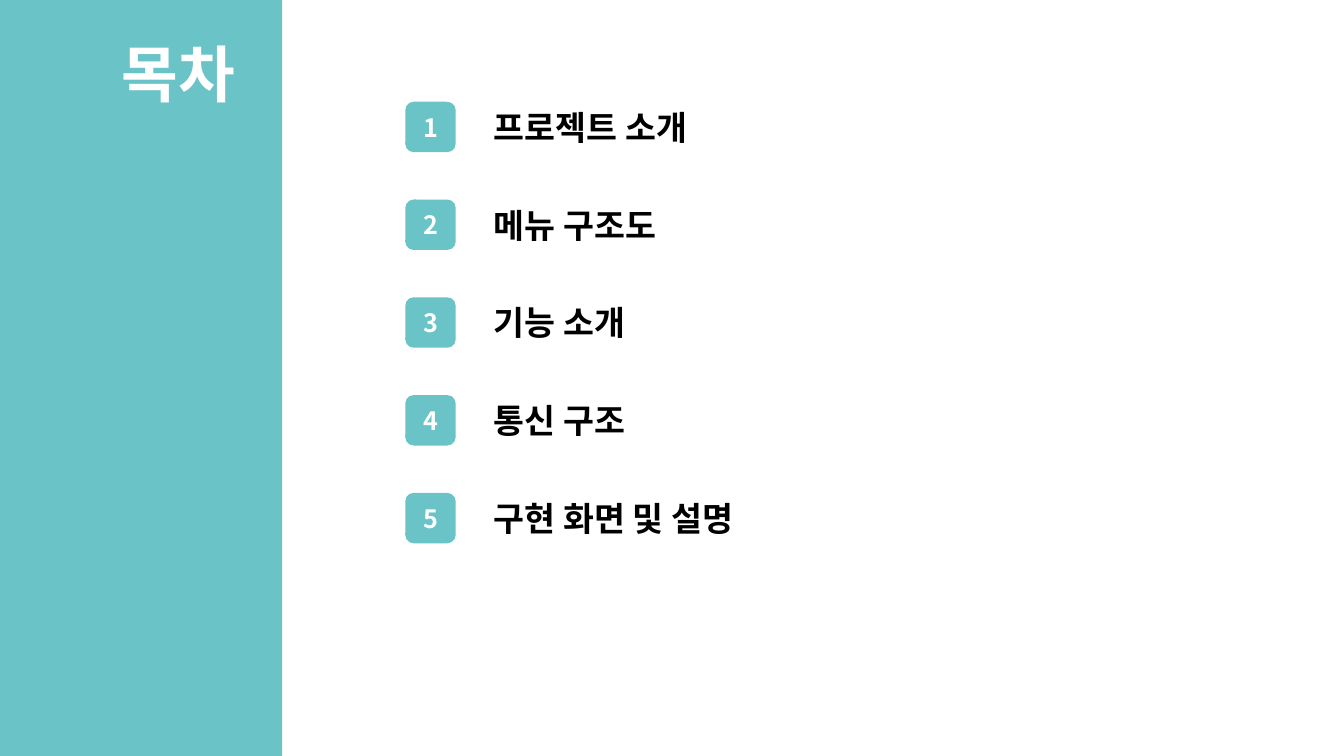
from dataclasses import dataclass

from pptx import Presentation
from pptx.dml.color import RGBColor as RGB
from pptx.enum.shapes import MSO_SHAPE as SHAPE
from pptx.enum.text import MSO_ANCHOR as ANCHOR, MSO_AUTO_SIZE as FIT, PP_ALIGN as ALIGN
from pptx.oxml.ns import qn
from pptx.util import Emu, Pt

EMU_PER_PX = 9144


@dataclass(frozen=True)
class Theme:
    font: str = "Noto Sans CJK KR"
    teal: RGB = RGB(0x6A, 0xC3, 0xC6)
    white: RGB = RGB(0xFF, 0xFF, 0xFF)
    black: RGB = RGB(0, 0, 0)
    title_size: int = 44
    item_size: int = 24
    number_size: int = 18


THEME = Theme()
ITEMS = [
    ("프로젝트 소개", 234),
    ("메뉴 구조도", 200),
    ("기능 소개", 167),
    ("통신 구조", 167),
    ("구현 화면 및 설명", 292),
]
LIST_TOP, ROW_STEP = 101, 97
BADGE_LEFT, BADGE_SIZE, LABEL_LEFT = 402, 50, 480


def px(n):
    return Emu(n * EMU_PER_PX)


def write(sp, text, *, size, color, align=ALIGN.LEFT, anchor=ANCHOR.TOP, fit=FIT.NONE):
    tf = sp.text_frame
    tf.word_wrap = fit == FIT.NONE
    tf.auto_size = fit
    tf.vertical_anchor = anchor
    p = tf.paragraphs[0]
    p.alignment = align
    r = p.add_run()
    r.text = text
    r.font.size = Pt(size)
    r.font.bold = True
    r.font.color.rgb = color
    r.font.name = THEME.font
    ea = r.font._element.makeelement(qn("a:ea"), {"typeface": THEME.font})
    r.font._element.find(qn("a:latin")).addnext(ea)


def add_block(shapes, kind, x, y, w, h):
    sp = shapes.add_shape(kind, px(x), px(y), px(w), px(h))
    sp.shadow.inherit = False
    sp.fill.solid()
    sp.fill.fore_color.rgb = THEME.teal
    sp.line.fill.background()
    return sp


def add_title(s, text):
    sp = s.shapes.title
    sp.left, sp.top, sp.width, sp.height = px(111), px(31), px(144), px(84)
    write(sp, text, size=THEME.title_size, color=THEME.white, fit=FIT.SHAPE_TO_FIT_TEXT)


def add_item(s, number, text, width, y):
    group = s.shapes.add_group_shape()
    badge = add_block(group.shapes, SHAPE.ROUNDED_RECTANGLE, BADGE_LEFT, y, BADGE_SIZE, BADGE_SIZE)
    write(badge, str(number), size=THEME.number_size, color=THEME.white,
          align=ALIGN.CENTER, anchor=ANCHOR.MIDDLE)
    label = group.shapes.add_textbox(px(LABEL_LEFT), px(y), px(width), px(BADGE_SIZE))
    write(label, text, size=THEME.item_size, color=THEME.black, fit=FIT.SHAPE_TO_FIT_TEXT)


def main():
    prs = Presentation()
    prs.slide_width, prs.slide_height = px(1333), px(750)
    s = prs.slides.add_slide(prs.slide_layouts[5])
    band = add_block(s.shapes, SHAPE.RECTANGLE, 0, 0, 280, 750)
    s.shapes.title.element.addprevious(band.element)
    add_title(s, "목차")
    for i, (text, width) in enumerate(ITEMS):
        add_item(s, i + 1, text, width, LIST_TOP + i * ROW_STEP)
    prs.save("out.pptx")


if __name__ == "__main__":
    main()
